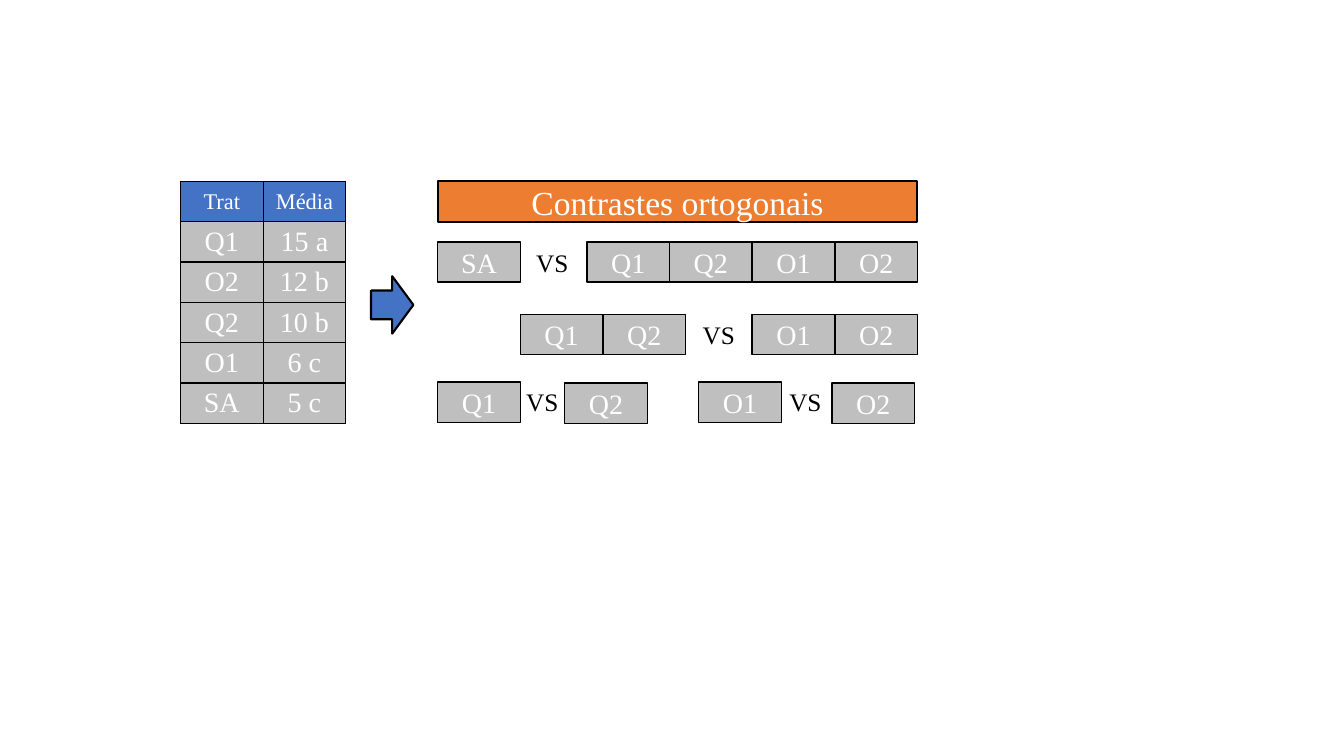
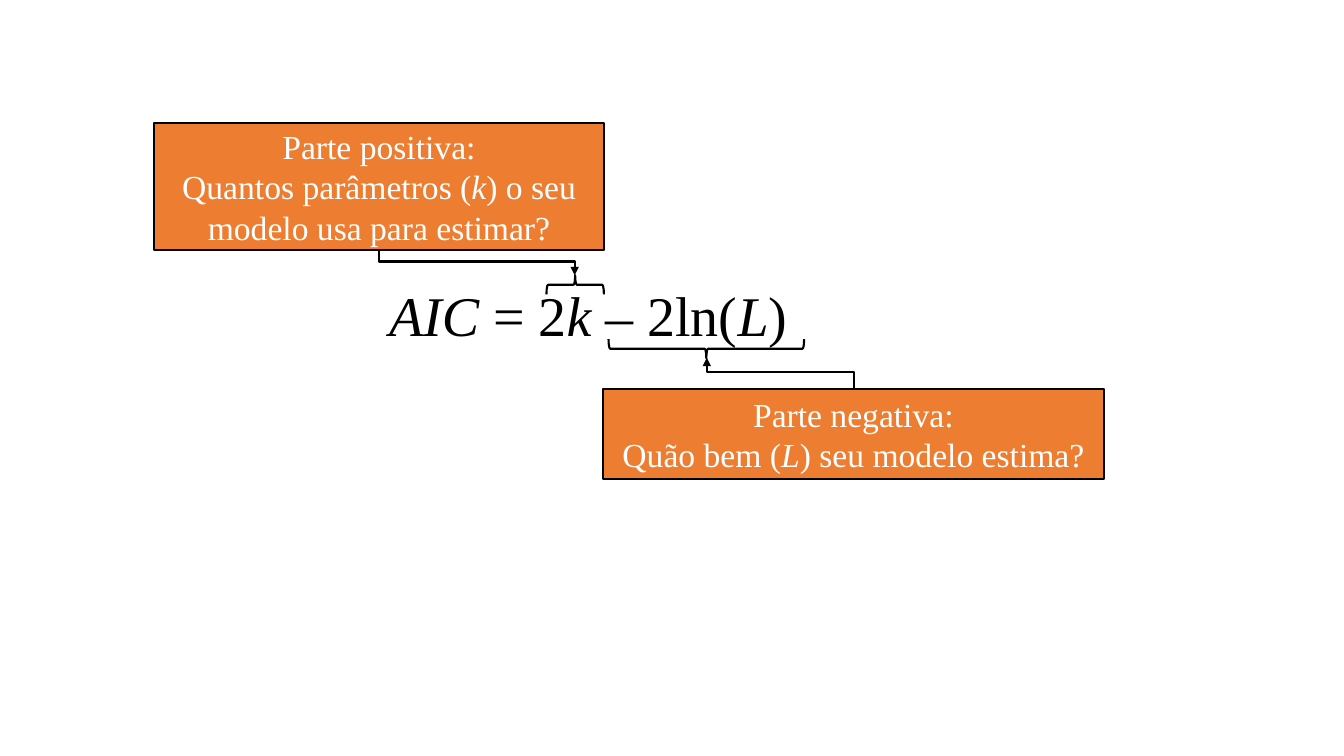
from lxml import etree
from pptx import Presentation
from pptx import util as u
from pptx.dml import color
from pptx.enum import shapes, text
from pptx.oxml import ns

PX = 9144
FONT = "Times New Roman"
COLORS = {
    "header": "4472C4",
    "cell": "BFBFBF",
    "accent": "ED7D31",
    "light": "FFFFFF",
    "ink": "000000",
}
CELL_W, CELL_H = 82, 40
TABLE_ROWS = [
    ("Trat", "Média"),
    ("Q1", "15 a"),
    ("O2", "12 b"),
    ("Q2", "10 b"),
    ("O1", "6 c"),
    ("SA", "5 c"),
]
CONTRAST_GROUPS = [
    (434, 240, ["SA"]),
    (582, 240, ["Q1", "Q2", "O1", "O2"]),
    (516, 312, ["Q1", "Q2"]),
    (746, 312, ["O1", "O2"]),
    (434, 379, ["Q1"]),
    (560, 380, ["Q2"]),
    (693, 379, ["O1"]),
    (825, 380, ["O2"]),
]
VERSUS_SPOTS = [(522, 240), (687, 312), (512, 378), (773, 378)]


def px(*lengths):
    return [u.Emu(round(length * PX)) for length in lengths]


def rgb(name):
    return color.RGBColor.from_string(COLORS[name])


def paint(fill, name):
    fill.solid()
    fill.fore_color.rgb = rgb(name)


def outline(item, weight):
    item.line.color.rgb = rgb("ink")
    item.line.width = u.Pt(weight)


def write(frame, lines, size, ink, align=text.PP_ALIGN.CENTER):
    for index, line in enumerate(lines):
        para = frame.add_paragraph() if index else frame.paragraphs[0]
        para.alignment = align
        para.font.name = FONT
        para.font.size = u.Pt(size)
        para.font.color.rgb = rgb(ink)
        for position, part in enumerate(line.split("*")):
            if part:
                span = para.add_run()
                span.text = part
                if position % 2:
                    span.font.italic = True


def add_figure(page, kind, area, fill=None, weight=1.5):
    figure = page.shapes.add_shape(kind, *px(*area))
    figure.shadow.inherit = False
    outline(figure, weight)
    if fill:
        paint(figure.fill, fill)
    else:
        figure.fill.background()
    return figure


def add_box(page, area, lines, fill="accent", size=24, weight=1.5):
    box = add_figure(page, shapes.MSO_SHAPE.RECTANGLE, area, fill, weight)
    box.text_frame.word_wrap = True
    box.text_frame.vertical_anchor = text.MSO_ANCHOR.MIDDLE
    write(box.text_frame, lines, size, "light")


def add_label(page, area, line, size, wrap):
    frame = page.shapes.add_textbox(*px(*area)).text_frame
    frame.word_wrap = wrap
    frame.auto_size = text.MSO_AUTO_SIZE.SHAPE_TO_FIT_TEXT
    write(frame, [line], size, "ink", text.PP_ALIGN.LEFT)


def add_brace(page, area, rotation):
    brace = add_figure(page, shapes.MSO_SHAPE.RIGHT_BRACE, area)
    brace.rotation = rotation


def add_elbow_arrow(page, start, end, bend):
    middle_x, middle_y = (start[0] + end[0]) / 2, (start[1] + end[1]) / 2
    half_x, half_y = (end[0] - start[0]) / 2, (end[1] - start[1]) / 2
    arrow = page.shapes.add_connector(
        shapes.MSO_CONNECTOR.ELBOW,
        *px(middle_x + half_y, middle_y - half_x,
            middle_x - half_y, middle_y + half_x),
    )
    outline(arrow, 1.5)
    properties = arrow._element.spPr
    properties.find(ns.qn("a:xfrm")).set("rot", str(270 * 60000))
    geometry = properties.find(ns.qn("a:prstGeom"))
    guides = geometry.find(ns.qn("a:avLst"))
    if guides is None:
        guides = etree.SubElement(geometry, ns.qn("a:avLst"))
    etree.SubElement(guides, ns.qn("a:gd"), name="adj1", fmla=f"val {bend}")
    etree.SubElement(properties.find(ns.qn("a:ln")), ns.qn("a:tailEnd"), type="triangle")
    etree.SubElement(properties, ns.qn("a:effectLst"))


def add_borders(cell):
    properties = cell._tc.get_or_add_tcPr()
    for index, side in enumerate(("lnL", "lnR", "lnT", "lnB")):
        border = etree.Element(ns.qn(f"a:{side}"), w=str(u.Pt(1)))
        fill = etree.SubElement(border, ns.qn("a:solidFill"))
        etree.SubElement(fill, ns.qn("a:srgbClr"), val=COLORS["ink"])
        properties.insert(index, border)


def add_means_table(page, left, top):
    rows, columns = len(TABLE_ROWS), len(TABLE_ROWS[0])
    area = px(left, top, columns * CELL_W, rows * CELL_H)
    table = page.shapes.add_table(rows, columns, *area).table
    for row, values in enumerate(TABLE_ROWS):
        for column, value in enumerate(values):
            cell = table.cell(row, column)
            cell.margin_top = cell.margin_bottom = 0
            cell.vertical_anchor = text.MSO_ANCHOR.MIDDLE
            paint(cell.fill, "cell" if row else "header")
            add_borders(cell)
            write(cell.text_frame, [value], 20 if row else 16, "light")
            if not row:
                cell.text_frame.paragraphs[0].font.bold = False


def build_contrasts(page):
    add_means_table(page, 179, 180)
    for left, top, names in CONTRAST_GROUPS:
        for index, name in enumerate(names):
            area = (left + index * CELL_W, top, CELL_W, CELL_H)
            add_box(page, area, [name], "cell", 20, 1)
    for left, top in VERSUS_SPOTS:
        add_label(page, (left, top, 52, 40), "VS", 18, False)
    add_box(page, (434, 180, 476, CELL_H), ["Contrastes ortogonais"])
    add_figure(page, shapes.MSO_SHAPE.RIGHT_ARROW, (368, 274, 42, 57), "header")


def build_criterion(page):
    add_label(page, (376, 273, 438, 77), "*AIC* = 2*k* – 2ln(*L*)", 40, True)
    add_box(page, (153, 122, 446, 126), [
        "Parte positiva:",
        "Quantos parâmetros (*k*) o seu modelo usa para estimar?",
    ])
    add_box(page, (598, 386, 497, 89), [
        "Parte negativa:",
        "Quão bem (*L*) seu modelo estima?",
    ])
    add_brace(page, (561, 254, 19, 57), 270)
    add_brace(page, (691, 249, 19, 194), 90)
    add_elbow_arrow(page, (376, 249), (570, 273), 43600)
    add_elbow_arrow(page, (847, 386), (701, 355), 54200)


def main():
    deck = Presentation()
    deck.slide_width, deck.slide_height = px(1333, 750)
    for build in (build_contrasts, build_criterion):
        build(deck.slides.add_slide(deck.slide_layouts[6]))
    deck.save("out.pptx")


if __name__ == "__main__":
    main()
